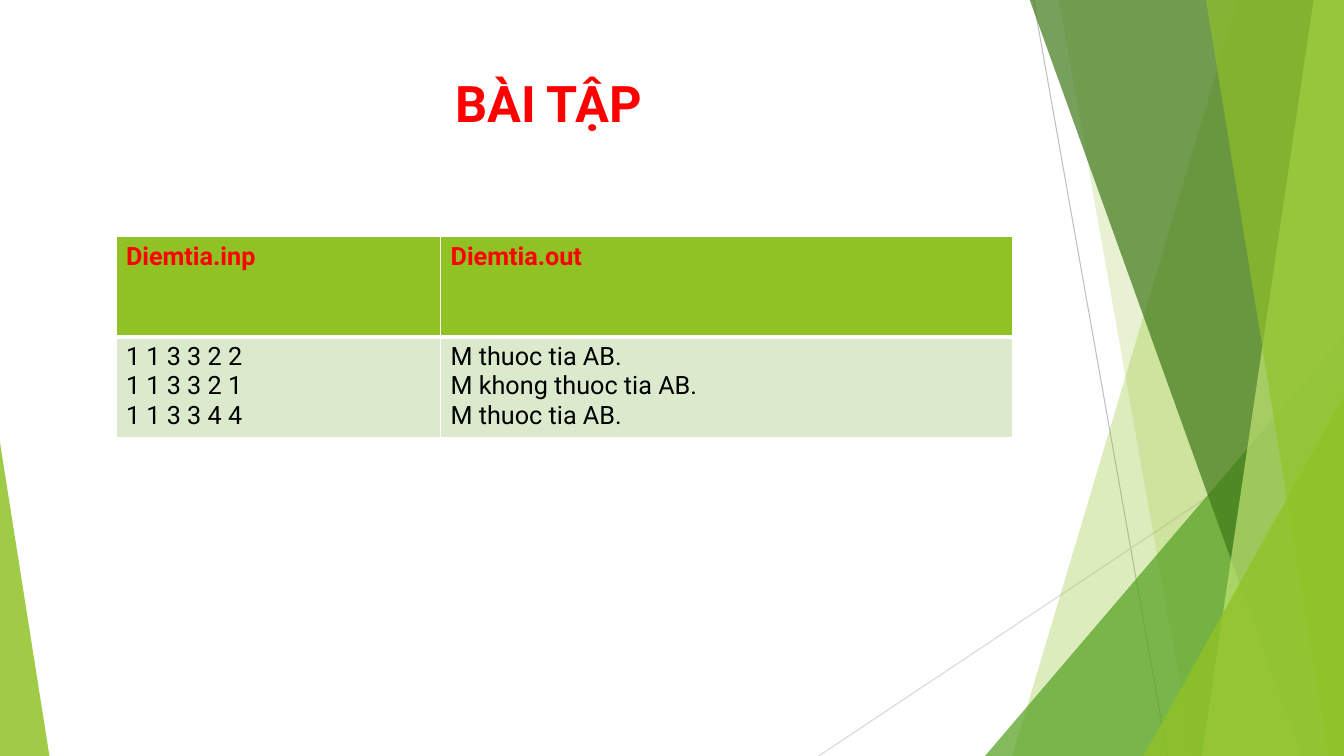
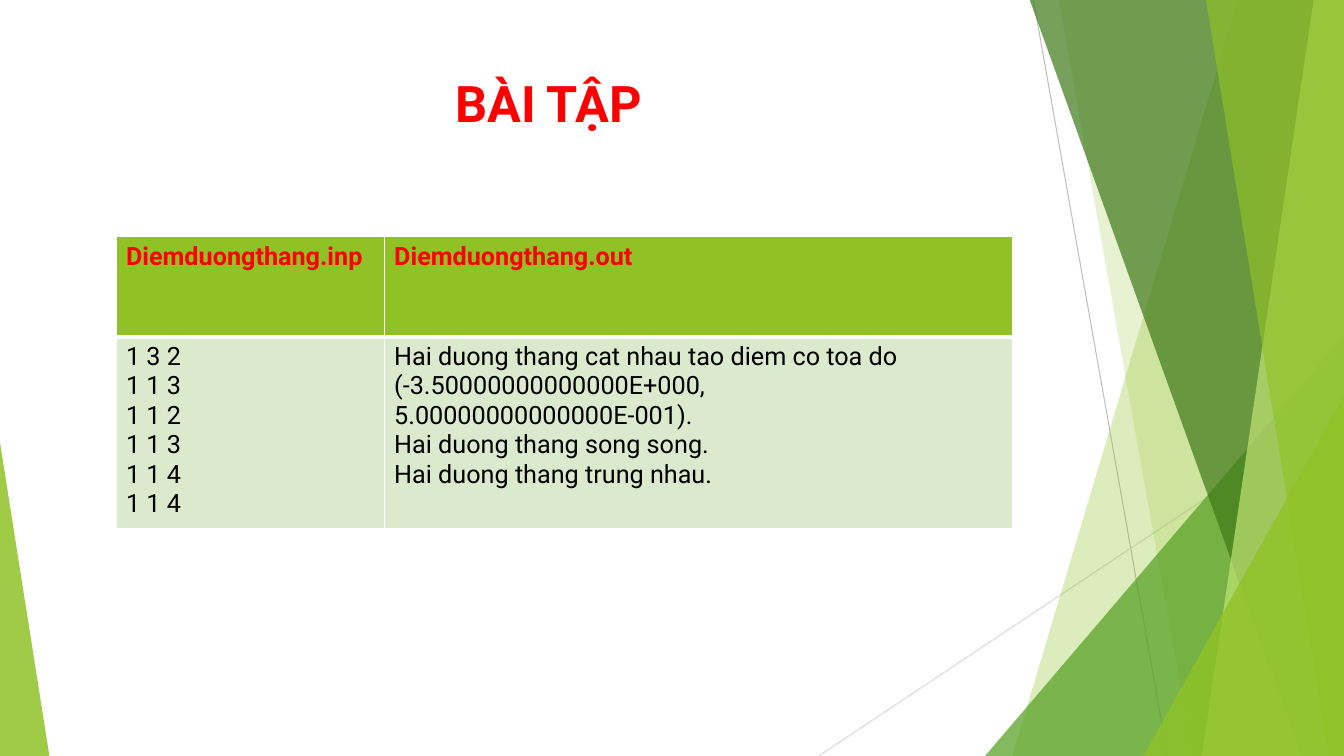
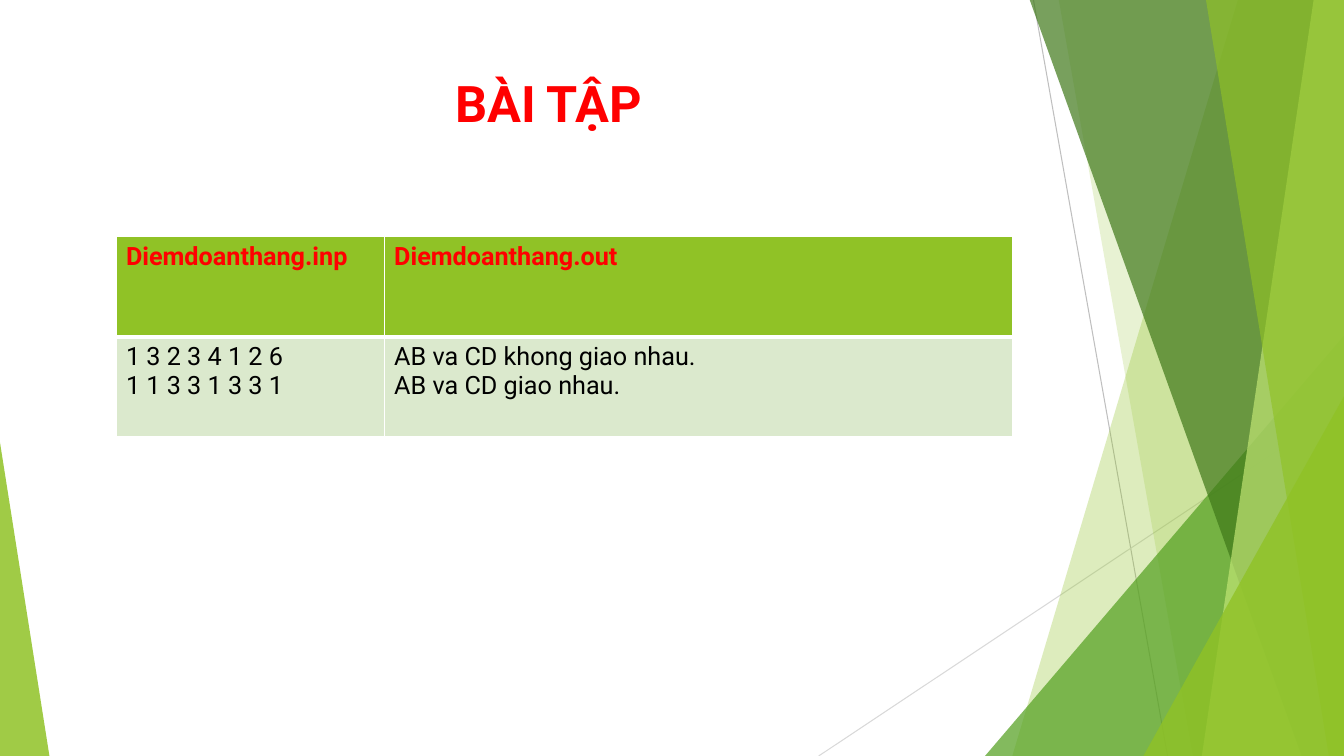
from lxml.etree import SubElement
from pptx import Presentation
from pptx.dml.color import RGBColor
from pptx.enum.shapes import MSO_CONNECTOR as Line, MSO_SHAPE as Kind
from pptx.enum.text import PP_ALIGN as Align
from pptx.oxml.ns import qn
from pptx.util import Inches, Pt

WIDE, HIGH = 13.33, 7.5
FONT = "Roboto"
RED, BLACK, WHITE = "FF0000", "000000", "FFFFFF"
GREEN, LEAF, DARK, LIME = "90C226", "54A021", "3F7819", "C0E474"
PALE = "DBE9CD"
RULES = [
    ((10.25, 0), (11.58, HIGH), "BFBFBF"),
    ((WIDE, 4.03), (8.12, HIGH), "D9D9D9"),
]
TASKS = [
    ("Diemtia", 3.22,
     ["1 1 3 3 2 2", "1 1 3 3 2 1", "1 1 3 3 4 4"],
     ["M thuoc tia AB.", "M khong thuoc tia AB.", "M thuoc tia AB."]),
    ("Diemduongthang", 2.66,
     ["1 3 2", "1 1 3", "1 1 2", "1 1 3", "1 1 4", "1 1 4"],
     ["Hai duong thang cat nhau tao diem co toa do "
      "(-3.50000000000000E+000, 5.00000000000000E-001).",
      "Hai duong thang song song.",
      "Hai duong thang trung nhau."]),
    ("Diemdoanthang", 2.66,
     ["1 3 2 3 4 1 2 6", "1 1 3 3 1 3 3 1"],
     ["AB va CD khong giao nhau.", "AB va CD giao nhau."]),
]


def color(code):
    """Turn a hex string into a colour."""
    return RGBColor.from_string(code)


def paint(shape, code, alpha):
    """Give a shape a flat fill with an opacity in percent."""
    shape.shadow.inherit = False
    shape.fill.solid()
    shape.fill.fore_color.rgb = color(code)
    shape.line.fill.background()
    tone = shape.element.spPr.find(".//" + qn("a:srgbClr"))
    SubElement(tone, qn("a:alpha"), val=str(alpha * 1000))


def rule(slide, start, end, code):
    """Draw a thin straight line."""
    ends = [Inches(v) for v in start + end]
    line = slide.shapes.add_connector(Line.STRAIGHT, *ends)
    line.line.color.rgb = color(code)
    line.line.width = Pt(0.75)
    SubElement(line.element.spPr, qn("a:effectLst"))


def band(slide, head, foot, code, alpha):
    """Draw a band from a slanted left edge to the right slide edge."""
    top = -0.01
    spots = [(head, top), (WIDE, top), (WIDE, HIGH), (foot, HIGH)]
    first, *rest = [(Inches(x), Inches(y)) for x, y in spots]
    pen = slide.shapes.build_freeform(*first)
    pen.add_line_segments(rest)
    paint(pen.convert_to_shape(), code, alpha)


def wedge(slide, left, top, width, peak, code, alpha):
    """Draw a triangle that stands on the bottom slide edge."""
    shape = slide.shapes.add_shape(
        Kind.ISOSCELES_TRIANGLE, Inches(left), Inches(top),
        Inches(width), Inches(HIGH - top))
    shape.adjustments[0] = peak
    paint(shape, code, alpha)


def decor(slide):
    """Draw the facets that all slides share."""
    for start, end, code in RULES:
        rule(slide, start, end, code)
    band(slide, 12.28, 10.04, GREEN, 30)
    band(slide, 10.5, 11.83, GREEN, 20)
    wedge(slide, 9.77, 3.33, 3.56, 1, LEAF, 72)
    band(slide, 10.21, 12.91, DARK, 70)
    band(slide, 13.03, 11.92, LIME, 70)
    band(slide, 11.96, 13.18, GREEN, 65)
    wedge(slide, 11.34, 3.93, 1.99, 1, GREEN, 80)
    wedge(slide, 0, 4.39, 0.49, 0, GREEN, 85)


def write(frame, lines, size, code, bold, align=Align.LEFT):
    """Fill a text frame with one paragraph per line."""
    frame.word_wrap = True
    for i, line in enumerate(lines):
        para = frame.add_paragraph() if i else frame.paragraphs[0]
        para.alignment = align
        run = para.add_run()
        run.text = line
        run.font.name = FONT
        run.font.size = Pt(size)
        run.font.bold = bold
        run.font.color.rgb = color(code)


def title(slide, text):
    """Add the centred red title."""
    box = slide.shapes.add_textbox(
        Inches(0.74), Inches(0.67), Inches(9.4), Inches(1.44))
    write(box.text_frame, [text], 36, RED, True, Align.CENTER)


def edge(cell, **sides):
    """Draw white cell borders with widths in points."""
    props = cell._tc.get_or_add_tcPr()
    for side, width in sides.items():
        line = SubElement(props, qn("a:ln" + side), w=str(Pt(width)))
        fill = SubElement(line, qn("a:solidFill"))
        SubElement(fill, qn("a:srgbClr"), val=WHITE)


def grid(slide, name, first, given, result):
    """Add the table of sample input and output."""
    width, tall = 8.89, 0.99
    table = slide.shapes.add_table(
        2, 2, Inches(1.15), Inches(2.35),
        Inches(width), Inches(2 * tall)).table
    for col, size in zip(table.columns, (first, width - first)):
        col.width = Inches(size)
    rows = [
        ([[name + ".inp"], [name + ".out"]], GREEN, RED, True, 1, 3),
        ([given, result], PALE, BLACK, False, 3, 1),
    ]
    for row, (texts, back, ink, bold, top, base) in zip(table.rows, rows):
        row.height = Inches(tall)
        for cell, lines in zip(row.cells, texts):
            edge(cell, L=1, R=1, T=top, B=base)
            cell.fill.solid()
            cell.fill.fore_color.rgb = color(back)
            write(cell.text_frame, lines, 18, ink, bold)


def main():
    """Build and save the slides."""
    deck = Presentation()
    deck.slide_width, deck.slide_height = Inches(WIDE), Inches(HIGH)
    for task in TASKS:
        slide = deck.slides.add_slide(deck.slide_layouts[6])
        decor(slide)
        title(slide, "BÀI TẬP")
        grid(slide, *task)
    deck.save("out.pptx")


main()
